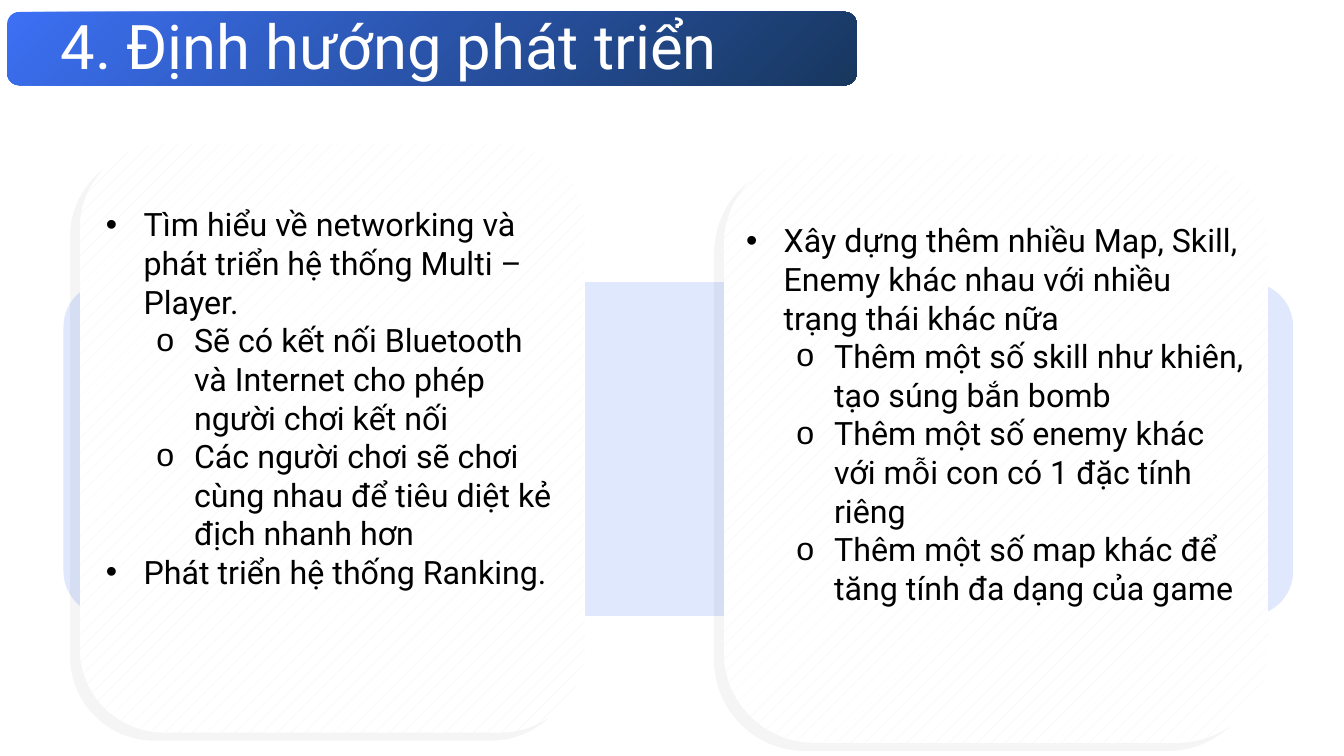
from lxml.etree import SubElement
from pptx import Presentation
from pptx.dml.color import RGBColor
from pptx.enum.dml import MSO_PATTERN
from pptx.enum.shapes import MSO_SHAPE
from pptx.enum.text import MSO_ANCHOR, MSO_AUTO_SIZE, PP_ALIGN
from pptx.oxml.ns import qn
from pptx.util import Cm, Pt

FONT = "Roboto"
BLUE, NAVY, WHITE, BLACK, PALE = "3C70F4", "17375E", "FFFFFF", "000000", "F2F2F2"

# Text, level by level
PLAY = [
    (0, "Tìm hiểu về networking và phát triển hệ thống Multi – Player."),
    (1, "Sẽ có kết nối Bluetooth và Internet cho phép người chơi kết nối"),
    (1, "Các người chơi sẽ chơi cùng nhau để tiêu diệt kẻ địch nhanh hơn"),
    (0, "Phát triển hệ thống Ranking."),
]
WORLD = [
    (0, "Xây dựng thêm nhiều Map, Skill, Enemy khác nhau với nhiều trạng thái khác nữa"),
    (1, "Thêm một số skill như khiên, tạo súng bắn bomb"),
    (1, "Thêm một số enemy khác với mỗi con có 1 đặc tính riêng"),
    (1, "Thêm một số map khác để tăng tính đa dạng của game"),
]
MARKS = ["•", "o"]
INDENTS = [0.95, 2.22]


def color(code):
    return RGBColor.from_string(code)


def place(shape, x, y, w, h):
    shape.left, shape.top, shape.width, shape.height = Cm(x), Cm(y), Cm(w), Cm(h)


def style(para, size, code):
    para.font.name = FONT
    para.font.size = Pt(size)
    para.font.color.rgb = color(code)


def add_box(slide, kind, x, y, w, h):
    box = slide.shapes.add_shape(kind, Cm(x), Cm(y), Cm(w), Cm(h))
    box.shadow.inherit = False
    box.line.fill.background()
    return box


def raise_up(slide, holder):
    """Bring a placeholder in front of the shapes drawn so far."""
    slide.shapes.element.append(holder.element)


def add_band(slide, x, y, w, h):
    band = add_box(slide, MSO_SHAPE.ROUNDED_RECTANGLE, x, y, w, h)
    band.adjustments[0] = 0.134
    band.fill.solid()
    band.fill.fore_color.rgb = color(BLUE)
    tint = band.element.spPr.find(".//" + qn("a:srgbClr"))
    SubElement(tint, qn("a:alpha"), val="16000")


def add_shade(box):
    effects = box.element.spPr.find(qn("a:effectLst"))
    shade = SubElement(effects, qn("a:outerShdw"), blurRad="0", dist=str(Pt(9)),
                       dir=str(140 * 60000), algn="ctr", rotWithShape="0")
    tint = SubElement(shade, qn("a:srgbClr"), val=BLACK)
    SubElement(tint, qn("a:alpha"), val="4000")


def add_item(para, level, text):
    para.text = text
    para.level = level
    props = para._p.get_or_add_pPr()
    props.set("marL", str(Cm(INDENTS[level])))
    props.set("indent", str(-Cm(INDENTS[0])))
    SubElement(props, qn("a:buChar"), char=MARKS[level])
    para.space_before = Pt(0)
    style(para, 23, BLACK)


def add_card(slide, body, items, x, y, w, h, pad_x, pad_y):
    # Hatched card
    card = add_box(slide, MSO_SHAPE.ROUNDED_RECTANGLE, x, y, w, h)
    card.fill.patterned()
    card.fill.pattern = MSO_PATTERN.PERCENT_5
    card.fill.fore_color.rgb = color(PALE)
    card.fill.back_color.rgb = color(WHITE)
    add_shade(card)

    # List inside the card
    place(body, x + pad_x, y + pad_y, w - pad_x - 0.55, 11)
    raise_up(slide, body)
    frame = body.text_frame
    frame.word_wrap = True
    frame.auto_size = MSO_AUTO_SIZE.NONE
    frame.vertical_anchor = MSO_ANCHOR.TOP
    frame.margin_left = frame.margin_right = 0
    frame.margin_top = frame.margin_bottom = 0
    for i, (level, text) in enumerate(items):
        para = frame.add_paragraph() if i else frame.paragraphs[0]
        add_item(para, level, text)


def add_head(slide, text, x, y, w, h):
    # Gradient bar
    bar = add_box(slide, MSO_SHAPE.FLOWCHART_ALTERNATE_PROCESS, x, y, w, h)
    bar.fill.gradient()
    bar.fill.gradient_angle = 315
    for stop, code in zip(bar.fill.gradient_stops, (BLUE, NAVY)):
        stop.color.rgb = color(code)

    # Title
    title = slide.shapes.title
    place(title, x + 1.09, y + 0.06, 27.23, 1.78)
    raise_up(slide, title)
    frame = title.text_frame
    frame.word_wrap = True
    frame.auto_size = MSO_AUTO_SIZE.NONE
    frame.vertical_anchor = MSO_ANCHOR.MIDDLE
    para = frame.paragraphs[0]
    para.text = text
    para.alignment = PP_ALIGN.LEFT
    para.line_spacing = 0.9
    style(para, 44, WHITE)


def main():
    deck = Presentation()
    deck.slide_width, deck.slide_height = Cm(33.87), Cm(19.05)
    slide = deck.slides.add_slide(deck.slide_layouts[3])
    left, right = slide.placeholders[1], slide.placeholders[2]

    add_band(slide, 1.6, 7.11, 30.99, 8.41)
    add_card(slide, left, PLAY, 2.01, 3.63, 12.73, 14.83, 0.66, 1.53)
    add_card(slide, right, WORLD, 18.24, 3.89, 13.72, 14.83, 0.56, 1.67)
    add_head(slide, "4. Định hướng phát triển", 0.18, 0.3, 21.41, 1.85)
    deck.save("out.pptx")


if __name__ == "__main__":
    main()
